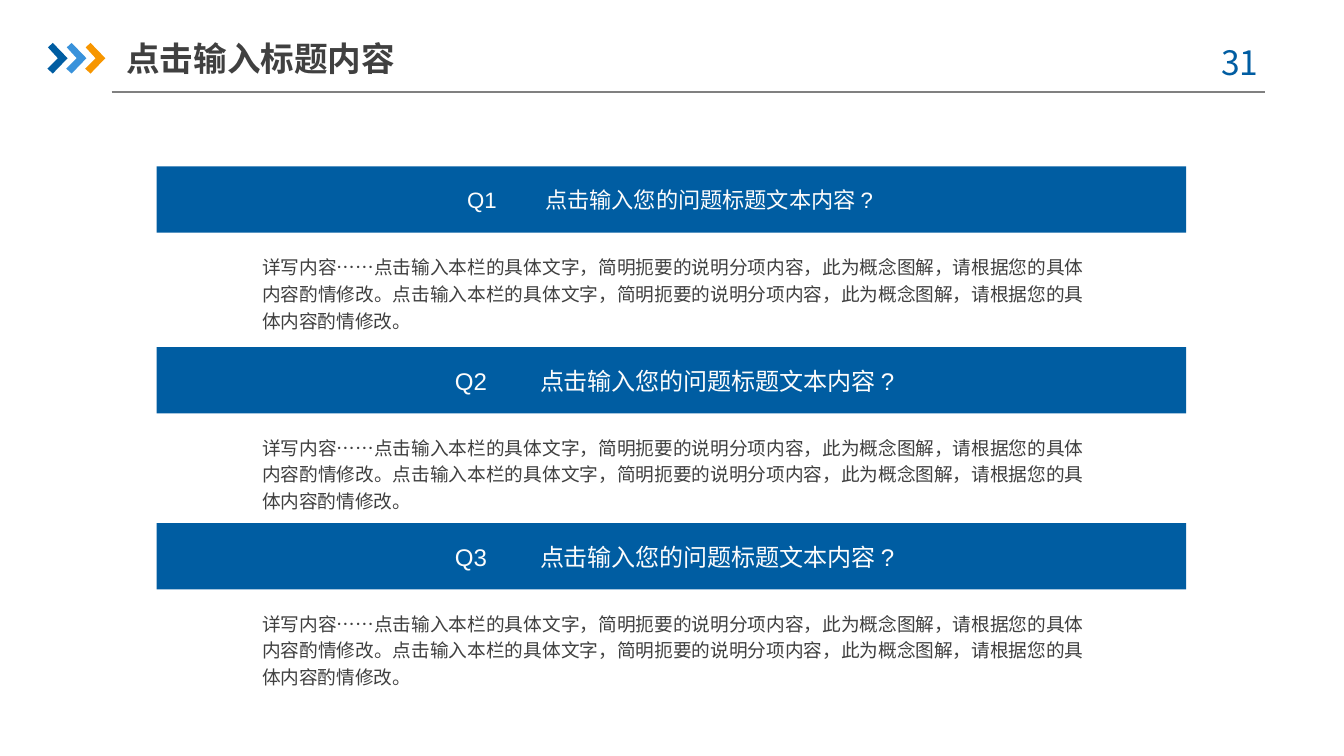
from dataclasses import dataclass

from lxml import etree
from pptx import Presentation
from pptx.dml.color import RGBColor
from pptx.enum import shapes, text
from pptx.oxml import ns
from pptx.util import Pt


@dataclass(frozen=True)
class Theme:
    blue: str = "005DA2"
    sky: str = "3992DB"
    orange: str = "F79600"
    rule: str = "808080"
    ink: str = "404040"
    light: str = "FCFCFC"
    font: str = "Arial"
    number_font: str = "Noto Sans CJK SC"
    title: float = 18
    body: float = 10
    first_question: float = 11.9
    question: float = 12.9


class Deck:
    def __init__(self, prs, theme):
        self.theme = theme
        self.s = prs.slides.add_slide(prs.slide_layouts[6])

    def fill(self, sp, color):
        sp.shadow.inherit = False
        sp.fill.solid()
        sp.fill.fore_color.rgb = RGBColor.from_string(color)
        sp.line.fill.background()

    def bar(self, x, y, w, h, color):
        sp = self.s.shapes.add_shape(shapes.MSO_SHAPE.RECTANGLE, Pt(x), Pt(y), Pt(w), Pt(h))
        self.fill(sp, color)

    def chevron(self, x, y, color):
        outline = [(0.3, 2.4), (2.9, 0), (10.8, 8.2), (2.9, 16.4), (0, 13.8), (5.6, 8.2)]
        points = [(Pt(x + dx), Pt(y + dy)) for dx, dy in outline]
        fb = self.s.shapes.build_freeform(*points[0])
        fb.add_line_segments(points[1:], close=True)
        self.fill(fb.convert_to_shape(), color)

    def rule(self, x1, x2, y):
        sp = self.s.shapes.add_connector(
            shapes.MSO_CONNECTOR.STRAIGHT, Pt(x1), Pt(y), Pt(x2), Pt(y))
        sp.line.color.rgb = RGBColor.from_string(self.theme.rule)
        sp.line.width = Pt(0.75)
        etree.SubElement(sp._element.spPr, ns.qn("a:effectLst"))

    def label(self, x, y, w, h, words, size, color, align=text.PP_ALIGN.LEFT,
              anchor=text.MSO_ANCHOR.MIDDLE, insets=(0, 0, 0, 0), font=None,
              bold=False, spacing=None, tab=None):
        sp = self.s.shapes.add_textbox(Pt(x), Pt(y), Pt(w), Pt(h))
        tf = sp.text_frame
        tf.word_wrap = True
        tf.vertical_anchor = anchor
        tf.margin_left, tf.margin_top, tf.margin_right, tf.margin_bottom = map(Pt, insets)
        p = tf.paragraphs[0]
        p.text = words
        p.alignment = align
        if spacing:
            p.line_spacing = spacing
        if tab:
            tabs = etree.SubElement(p._p.get_or_add_pPr(), ns.qn("a:tabLst"))
            etree.SubElement(tabs, ns.qn("a:tab"), pos=str(Pt(tab)), algn="l")
        p.font.size = Pt(size)
        p.font.name = font or self.theme.font
        p.font.bold = bold
        p.font.color.rgb = RGBColor.from_string(color)


def main():
    prs = Presentation()
    prs.slide_width, prs.slide_height = Pt(720), Pt(405)
    theme = Theme()
    deck = Deck(prs, theme)

    # Header
    deck.rule(59.8, 677.5, 49.3)
    for i, color in enumerate((theme.blue, theme.sky, theme.orange)):
        deck.chevron(25.4 + 10.1 * i, 23, color)
    deck.label(637.9, 18.7, 52.6, 28.8, "31", theme.title, theme.blue,
               align=text.PP_ALIGN.CENTER, anchor=text.MSO_ANCHOR.TOP,
               insets=(7.2, 3.6, 7.2, 3.6), font=theme.number_font)
    deck.label(67.7, 15.8, 167.8, 30.2, "点击输入标题内容", theme.title, theme.ink,
               insets=(0, 3.6, 0, 3.6), bold=True)

    # Questions and answers
    sentence = "点击输入本栏的具体文字，简明扼要的说明分项内容，此为概念图解，请根据您的具体内容酌情修改。"
    answer = "详写内容……" + sentence * 2
    rows = (
        (89.2, theme.first_question, 9, 41.8),
        (186, theme.question, 2.5, 45.6),
        (280.3, theme.question, 2.5, 45.6),
    )
    for number, (y, size, indent, tab) in enumerate(rows, 1):
        deck.bar(84, y, 551.5, 35.5, theme.blue)
        deck.label(241.2, y + 5.7, 250, 24.5, f"Q{number}\t点击输入您的问题标题文本内容 ?",
                   size, theme.light, insets=(indent, 0, 0, 0), tab=tab)
        deck.label(140.4, y + 45.4, 440, 43.9, answer, theme.body, theme.ink,
                   align=text.PP_ALIGN.JUSTIFY, anchor=text.MSO_ANCHOR.TOP, spacing=1.2)

    prs.save("out.pptx")


if __name__ == "__main__":
    main()
